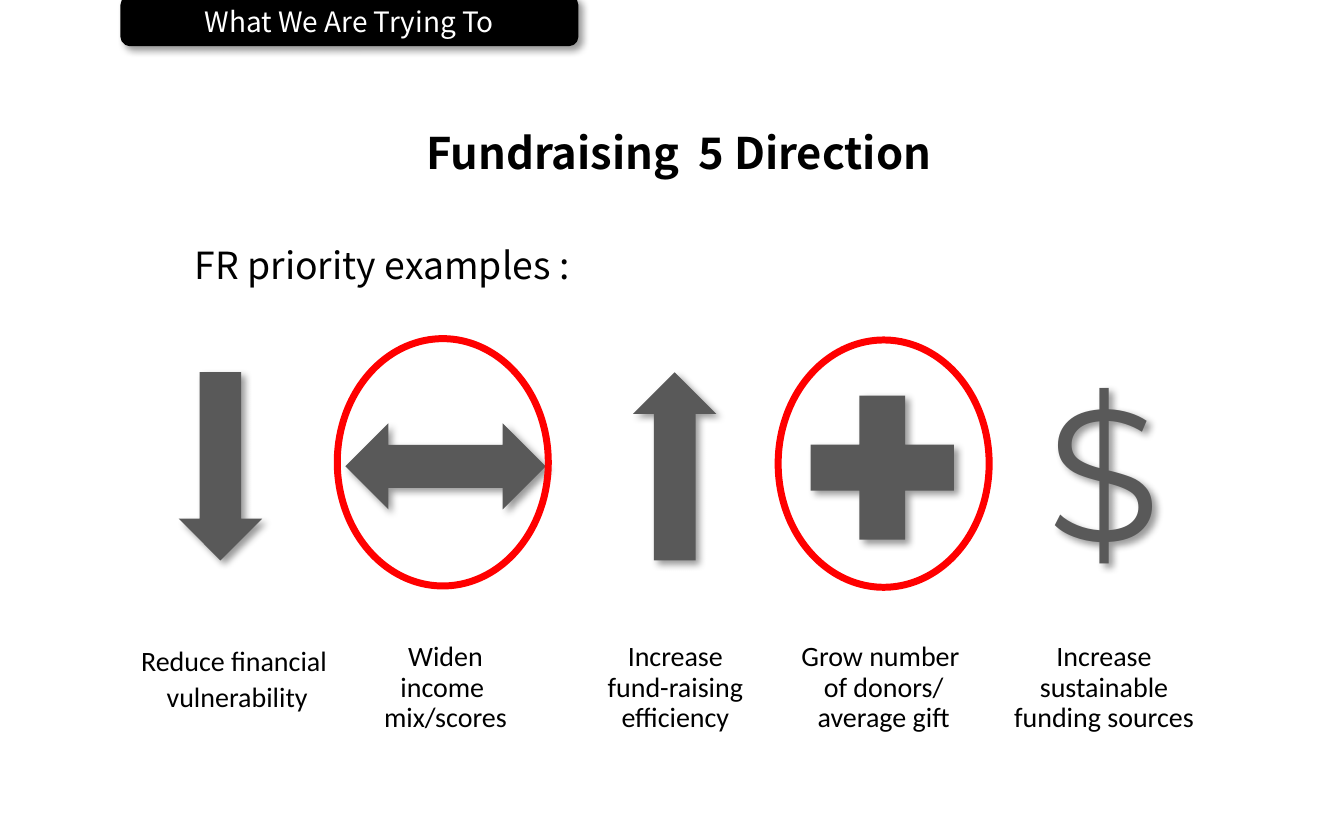
from dataclasses import dataclass

from lxml.etree import SubElement
from pptx import Presentation
from pptx.dml.color import RGBColor
from pptx.enum.shapes import MSO_SHAPE
from pptx.enum.text import MSO_ANCHOR, MSO_AUTO_SIZE, PP_ALIGN
from pptx.oxml.ns import qn
from pptx.util import Inches, Pt


@dataclass(frozen=True)
class Theme:
    black: str = "000000"
    white: str = "FFFFFF"
    gray: str = "595959"
    red: str = "FF0000"
    sans: str = "Noto Sans CJK KR"
    plain: str = "Calibri"
    round: str = "Montserrat"
    head: float = 23.3
    lead: float = 20
    note: float = 15
    sign: float = 100


THEME = Theme()


def place(shape, box):
    shape.left, shape.top, shape.width, shape.height = map(Inches, box)


def write(par, text, font, size, color, bold=False):
    """Add text to a paragraph, one run for each line."""
    for i, line in enumerate(text.split("\n")):
        if i:
            par.add_line_break()
        run = par.add_run()
        run.text = line
        run.font.name = font
        run.font.size = Pt(size)
        run.font.bold = bold
        run.font.color.rgb = RGBColor.from_string(color)


def add_shadow(shape):
    shape.shadow.inherit = False
    effects = shape._element.spPr.find(qn("a:effectLst"))
    outer = SubElement(effects, qn("a:outerShdw"), blurRad=str(Pt(4)),
                       dist=str(Pt(3)), dir=str(45 * 60000), algn="tl",
                       rotWithShape="0")
    color = SubElement(outer, qn("a:srgbClr"), val=THEME.black)
    SubElement(color, qn("a:alpha"), val="40000")


def add_solid(slide, kind, box, color, turn=0):
    shape = slide.shapes.add_shape(kind, *map(Inches, box))
    shape.fill.solid()
    shape.fill.fore_color.rgb = RGBColor.from_string(color)
    shape.line.fill.background()
    shape.rotation = turn
    add_shadow(shape)
    return shape


def add_ring(slide, left, top):
    ring = slide.shapes.add_shape(
        MSO_SHAPE.OVAL, *map(Inches, (left, top, 1.57, 1.84)))
    ring.fill.background()
    ring.line.color.rgb = RGBColor.from_string(THEME.red)
    ring.line.width = Pt(3.75)
    ring.shadow.inherit = False


def add_text(slide, box, parts, font, size, color=THEME.black,
             align=PP_ALIGN.LEFT, anchor=MSO_ANCHOR.TOP, space=0.9):
    shape = slide.shapes.add_textbox(*map(Inches, box))
    frame = shape.text_frame
    frame.word_wrap = True
    frame.vertical_anchor = anchor
    for i, part in enumerate(parts):
        par = frame.paragraphs[0] if i == 0 else frame.add_paragraph()
        par.alignment = align
        par.line_spacing = space
        if i:
            par.space_before = Pt(size * 0.2)
        write(par, part, font, size, color)
    return shape


def add_title(slide):
    title = slide.shapes.title
    place(title, (0.83, 0.63, 8.33, 0.85))
    frame = title.text_frame
    frame.auto_size = MSO_AUTO_SIZE.NONE
    frame.word_wrap = True
    frame.vertical_anchor = MSO_ANCHOR.MIDDLE
    frame.margin_left, frame.margin_top = Inches(0.11), Inches(0.16)
    frame.margin_right = frame.margin_bottom = 0
    par = frame.paragraphs[0]
    par.alignment = PP_ALIGN.CENTER
    write(par, "Fundraising  5 Direction", THEME.sans, THEME.head,
          THEME.black, bold=True)


def add_icons(slide):
    icons = (
        (MSO_SHAPE.DOWN_ARROW, (1.33, 2.77, 0.62, 1.4), 0),
        (MSO_SHAPE.LEFT_RIGHT_ARROW, (2.57, 3.15, 1.49, 0.64), 0),
        (MSO_SHAPE.DOWN_ARROW, (4.71, 2.77, 0.62, 1.4), 180),
        (MSO_SHAPE.MATH_PLUS, (5.84, 2.75, 1.45, 1.46), 0),
    )
    for kind, box, turn in icons:
        add_solid(slide, kind, box, THEME.gray, turn)
    sign = add_text(slide, (7.69, 2.59, 1.14, 1.78), ["$"], THEME.round,
                    THEME.sign, THEME.gray, space=1.0)
    sign.text_frame.word_wrap = False
    sign.text_frame.auto_size = MSO_AUTO_SIZE.SHAPE_TO_FIT_TEXT
    add_shadow(sign)


def add_labels(slide):
    labels = (
        ((0.91, 4.37, 1.71, 1.38), ["Reduce financial ", "vulnerability"]),
        ((2.26, 4.43, 2.11, 1.38), ["Widen\nincome \nmix/scores"]),
        ((3.97, 4.43, 2.11, 1.38), ["Increase\nfund-raising\nefficiency"]),
        ((5.52, 4.43, 2.11, 1.38), ["Grow number \nof donors/\naverage gift"]),
        ((7.16, 4.43, 2.11, 1.38), ["Increase\nsustainable\nfunding sources"]),
    )
    for box, parts in labels:
        add_text(slide, box, parts, THEME.plain, THEME.note,
                 align=PP_ALIGN.CENTER, anchor=MSO_ANCHOR.MIDDLE)


def add_tab(slide):
    tab = add_solid(slide, MSO_SHAPE.ROUNDED_RECTANGLE,
                    (0.91, -0.02, 3.38, 0.35), THEME.black)
    tab.line.color.rgb = RGBColor.from_string(THEME.black)
    tab.line.width = Pt(2)
    frame = tab.text_frame
    frame.vertical_anchor = MSO_ANCHOR.MIDDLE
    par = frame.paragraphs[0]
    par.alignment = PP_ALIGN.CENTER
    write(par, "What We Are Trying To", THEME.sans, THEME.note, THEME.white)


def main():
    deck = Presentation()
    deck.slide_width, deck.slide_height = Inches(10), Inches(6.25)
    slide = deck.slides.add_slide(deck.slide_layouts[5])
    add_title(slide)
    add_text(slide, (1.35, 1.79, 3.57, 0.54), ["FR priority examples :"],
             THEME.sans, THEME.lead)
    add_icons(slide)
    add_labels(slide)
    add_ring(slide, 2.51, 2.52)
    add_tab(slide)
    add_ring(slide, 5.79, 2.53)
    deck.save("out.pptx")


if __name__ == "__main__":
    main()
